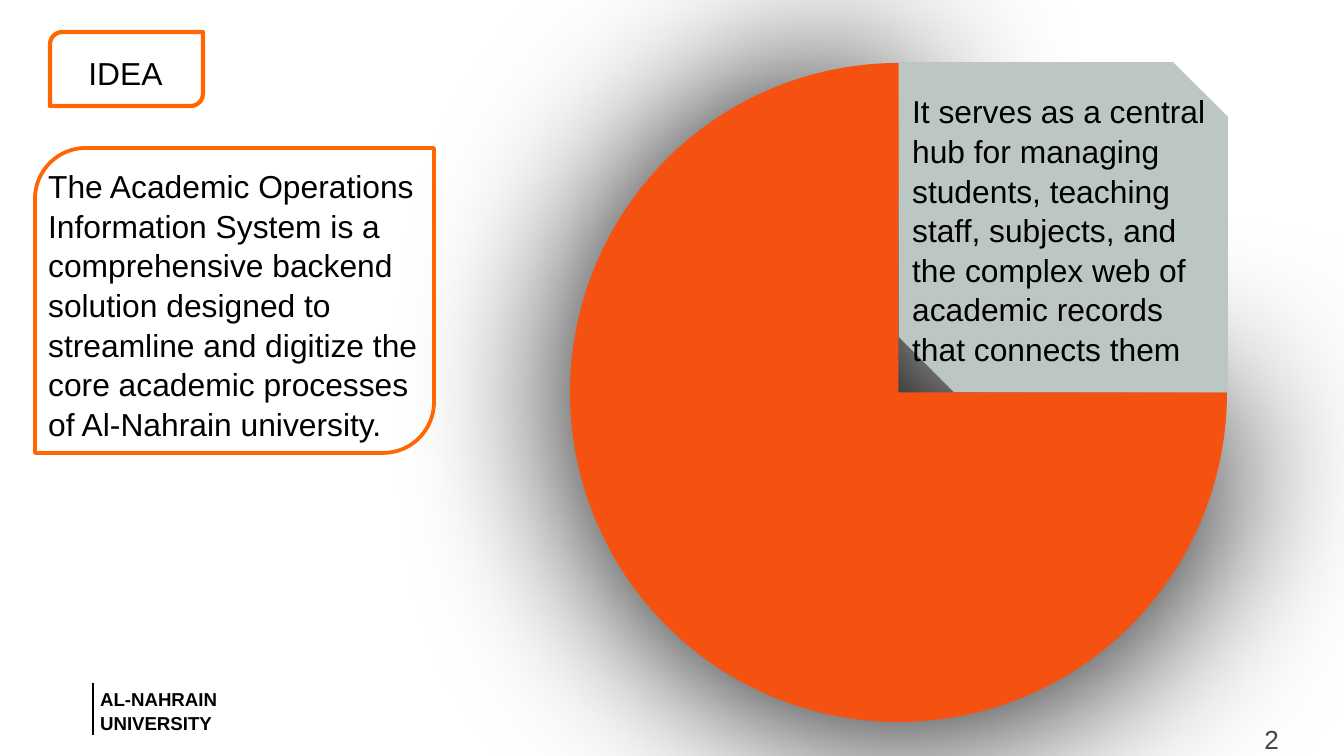
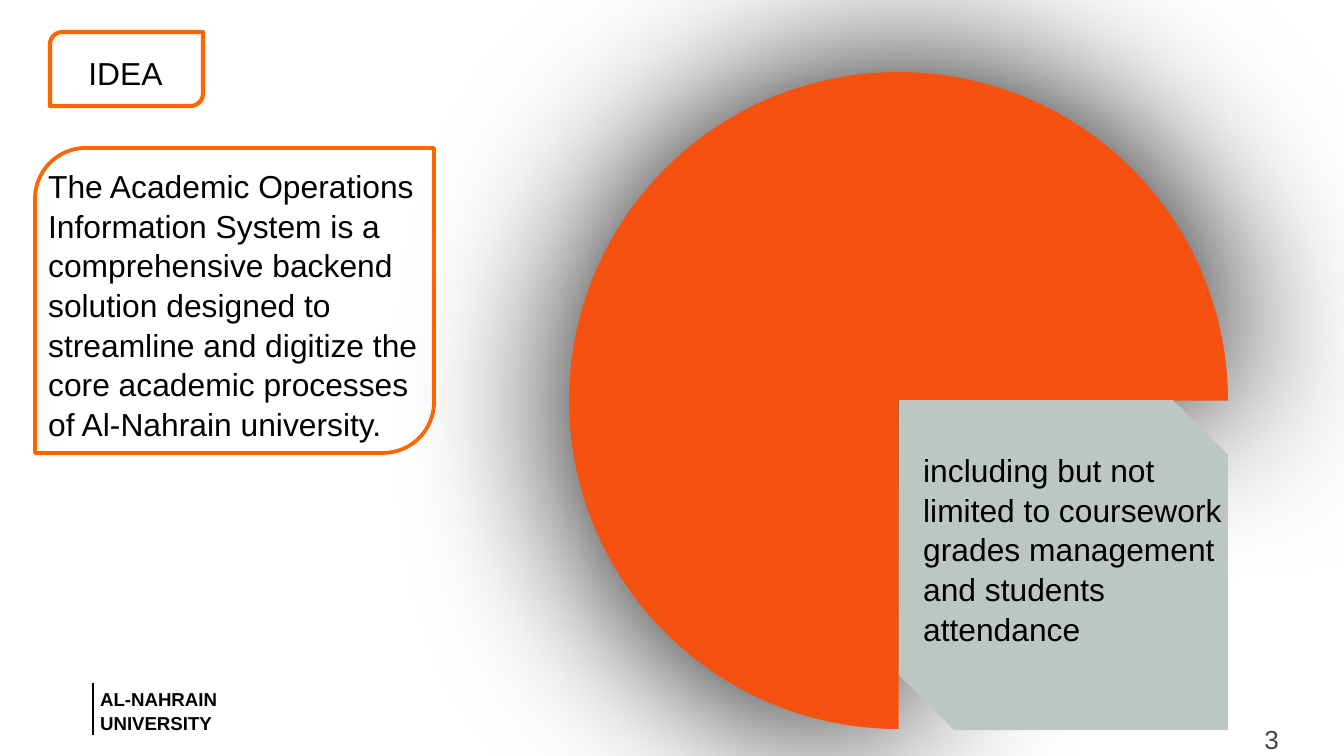
from lxml import etree
from pptx import Presentation
from pptx import util as u
from pptx.dml.color import RGBColor
from pptx.enum import shapes, text
from pptx.oxml import ns

PX = 914400 / 134.4
FONT = "Arial"
BLACK = RGBColor(0x00, 0x00, 0x00)
GRAY = RGBColor(0x40, 0x45, 0x45)
ORANGE = RGBColor(0xF5, 0x52, 0x12)
OUTLINE = RGBColor(0xFF, 0x66, 0x00)
SAGE = RGBColor(0xBC, 0xC6, 0xC2)

BODY = {"size": u.Pt(17), "bold": False, "color": BLACK}
FOOTER = {"size": u.Pt(10), "bold": True, "color": BLACK}
NUMBER = {"size": u.Pt(14), "bold": False, "color": GRAY}

SUMMARY = (
    "The Academic Operations Information System is a comprehensive backend "
    "solution designed to streamline and digitize the core academic processes "
    "of Al-Nahrain university."
)
# Each wedge: page number, pie top, pie rotation, note card top, note box, paragraphs
WEDGES = [
    (2, 63, 0, 62, (899, 84, 332, 321), [
        "It serves as a central hub for managing",
        "students, teaching staff, subjects, and the complex web of academic "
        "records that connects them",
    ]),
    (3, 71, 90, 400, (910, 443, 332, 245), [
        "including but not limited to coursework grades management and "
        "students attendance",
    ]),
]


def px(*lengths):
    return [u.Emu(round(length * PX)) for length in lengths]


def write(frame, paragraphs, style, align=text.PP_ALIGN.LEFT, spacing=1.04):
    settings = {
        "word_wrap": True,
        "auto_size": text.MSO_AUTO_SIZE.NONE,
        "vertical_anchor": text.MSO_ANCHOR.TOP,
    }
    for name, value in settings.items():
        setattr(frame, name, value)
    frame.text = "\n".join(paragraphs)
    for paragraph in frame.paragraphs:
        paragraph.alignment = align
        paragraph.line_spacing = spacing
        paragraph.font.name = FONT
        paragraph.font.color.rgb = style["color"]
        for name in ("size", "bold"):
            setattr(paragraph.font, name, style[name])


def add_text(slide, box, paragraphs, style, **layout):
    frame = slide.shapes.add_textbox(*px(*box)).text_frame
    write(frame, paragraphs, style, **layout)
    return frame


def add_panel(slide, kind, box, adjustments, fill=None, line_width=None):
    panel = slide.shapes.add_shape(kind, *px(*box))
    panel.shadow.inherit = False
    for index, value in enumerate(adjustments):
        panel.adjustments[index] = value
    if fill is None:
        panel.fill.background()
    else:
        panel.fill.solid()
        panel.fill.fore_color.rgb = fill
    if line_width is None:
        panel.line.fill.background()
    else:
        panel.line.color.rgb = OUTLINE
        panel.line.width = u.Pt(line_width)
    return panel


def add_glow(shape):
    """Give the shape a wide, soft black shadow."""
    effects = shape.element.spPr.find(ns.qn("a:effectLst"))
    shadow = etree.SubElement(
        effects, ns.qn("a:outerShdw"), blurRad=str(u.Pt(100)),
        dist=str(u.Pt(3)), dir=str(45 * 60000), algn="ctr", rotWithShape="0")
    etree.SubElement(shadow, ns.qn("a:srgbClr"), val=str(BLACK))


def add_footer(slide):
    add_text(slide, (87, 680, 173, 58), ["AL-NAHRAIN UNIVERSITY"], FOOTER,
             align=text.PP_ALIGN.JUSTIFY, spacing=1.07)
    rule = slide.shapes.add_connector(
        shapes.MSO_CONNECTOR.STRAIGHT, *px(93, 683, 93, 735))
    rule.line.color.rgb = BLACK
    rule.line.width = u.Pt(1)
    etree.SubElement(rule.element.spPr, ns.qn("a:effectLst"))


def add_page_number(slide, number):
    frame = add_text(slide, (966, 723, 313, 22), [str(number)], NUMBER,
                     align=text.PP_ALIGN.RIGHT, spacing=1.0)
    for side in ("left", "top", "right", "bottom"):
        setattr(frame, f"margin_{side}", 0)


def add_title(slide, wording):
    title = slide.shapes.title
    title.left, title.top, title.width, title.height = px(75, 46, 105, 52)
    write(title.text_frame, [wording], BODY)


def add_idea_slide(prs, number, pie_top, rotation, card_top, note_box, note):
    slide = prs.slides.add_slide(prs.slide_layouts[5])
    rounded = shapes.MSO_SHAPE.ROUND_2_DIAG_RECTANGLE
    add_footer(slide)
    pie = add_panel(slide, shapes.MSO_SHAPE.PIE, (570, pie_top, 657, 659),
                    (0, 162), fill=ORANGE)
    pie.rotation = rotation
    add_glow(pie)
    add_page_number(slide, number)
    add_title(slide, "IDEA")
    add_panel(slide, rounded, (50, 32, 153, 74), (0.167, 0), line_width=2.25)
    add_text(slide, (35, 159, 398, 321), [SUMMARY], BODY)
    add_panel(slide, rounded, (35, 148, 399, 305), (0.167, 0), line_width=2)
    add_panel(slide, shapes.MSO_SHAPE.SNIP_2_DIAG_RECTANGLE,
              (899, card_top, 329, 330), (0, 0.167), fill=SAGE)
    add_text(slide, note_box, note, BODY)


def main():
    prs = Presentation()
    prs.slide_width, prs.slide_height = px(1344, 756)
    for wedge in WEDGES:
        add_idea_slide(prs, *wedge)
    prs.save("out.pptx")


if __name__ == "__main__":
    main()
